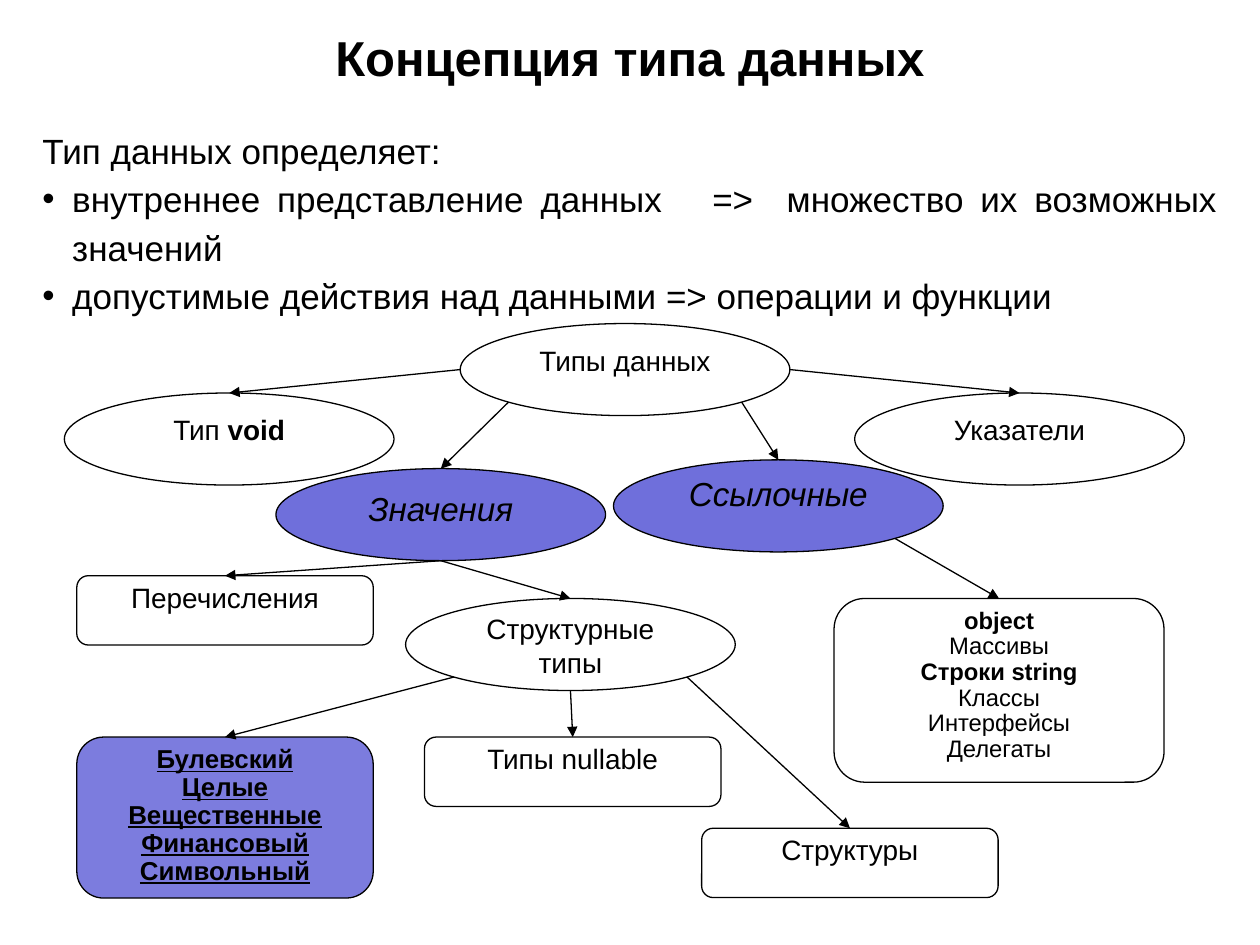
import math
from dataclasses import dataclass

import pptx
import pptx.dml.color
import pptx.enum.shapes
import pptx.enum.text
import pptx.oxml
import pptx.oxml.ns
import pptx.slide
import pptx.util

Pt = pptx.util.Pt
ALIGN = pptx.enum.text.PP_ALIGN
ANCHOR = pptx.enum.text.MSO_ANCHOR
KIND = pptx.enum.shapes.MSO_SHAPE
NS = pptx.oxml.ns.nsdecls("a")
DIAG = math.sqrt(0.5)  # ellipse edge point at 45 degrees


def rgb(value):
    return pptx.dml.color.RGBColor.from_string(value)


def add_xml(parent, xml, index=None):
    el = pptx.oxml.parse_xml(xml)
    parent.insert(len(parent) if index is None else index, el)


def put_text(tf, lines, font="Arial", size=16, color="000000", bold=False,
             italic=False, underline=False, align=ALIGN.CENTER, spacing=None,
             anchor=ANCHOR.TOP, margins=(7.2, 3.6)):
    """Each line is a list of (text, bold) runs or a plain string."""
    tf.word_wrap = True
    tf.vertical_anchor = anchor
    tf.margin_left = tf.margin_right = Pt(margins[0])
    tf.margin_top = tf.margin_bottom = Pt(margins[1])
    for i, line in enumerate(lines):
        p = tf.paragraphs[0] if i == 0 else tf.add_paragraph()
        p.alignment = align
        if spacing:
            p.line_spacing = spacing
        for text, strong in [(line, bold)] if isinstance(line, str) else line:
            r = p.add_run()
            r.text = text
            r.font.name, r.font.size = font, Pt(size)
            r.font.bold, r.font.italic = strong, italic
            r.font.underline = underline
            r.font.color.rgb = rgb(color)


@dataclass
class Diagram:
    s: pptx.slide.Slide
    line: str = "000000"
    weight: float = 0.75
    white: str = "FFFFFF"
    accent: str = "3333CC"

    def text(self, x, y, w, h, lines, **fmt):
        tf = self.s.shapes.add_textbox(Pt(x), Pt(y), Pt(w), Pt(h)).text_frame
        put_text(tf, lines, **fmt)
        return tf

    def bullet(self, p, spacing, indent):
        p.line_spacing = spacing
        pPr = p._p.get_or_add_pPr()
        pPr.set("marL", str(Pt(indent)))
        pPr.set("indent", str(-Pt(indent)))
        add_xml(pPr, f'<a:buFont {NS} typeface="Arial"/>')
        add_xml(pPr, f'<a:buChar {NS} char="•"/>')

    def node(self, kind, x, y, w, h, lines, opacity=None, **fmt):
        """A shape with text; opacity in percent selects the accent fill."""
        sp = self.s.shapes.add_shape(kind, Pt(x), Pt(y), Pt(w), Pt(h))
        sp.shadow.inherit = False
        sp.fill.solid()
        sp.fill.fore_color.rgb = rgb(self.accent if opacity else self.white)
        if opacity:
            clr = sp._element.spPr.find(".//" + pptx.oxml.ns.qn("a:srgbClr"))
            add_xml(clr, f'<a:alpha {NS} val="{opacity * 1000}"/>')
        sp.line.color.rgb = rgb(self.line)
        sp.line.width = Pt(self.weight)
        put_text(sp.text_frame, lines, **fmt)
        return sp

    def ellipse(self, x, y, lines, **fmt):
        return self.node(KIND.OVAL, x, y, 188.4, 52.6, lines, **fmt)

    def box(self, x, y, lines, w=169.4, h=39.6, **fmt):
        return self.node(KIND.ROUNDED_RECTANGLE, x, y, w, h, lines,
                         margins=(1.44, 0.72), **fmt)

    def arrow(self, source, dx, dy, target):
        """From the edge of source, in direction dx, dy, to the top of target."""
        k = DIAG if dx and dy else 1
        x1 = source.left + source.width / 2 * (1 + k * dx)
        y1 = source.top + source.height / 2 * (1 + k * dy)
        x2 = target.left + target.width / 2
        cn = self.s.shapes.add_connector(
            pptx.enum.shapes.MSO_CONNECTOR.STRAIGHT,
            int(x1), int(y1), int(x2), target.top)
        cn.line.color.rgb = rgb(self.line)
        cn.line.width = Pt(self.weight)
        add_xml(cn.line._get_or_add_ln(), f'<a:tailEnd {NS} type="triangle"/>')
        add_xml(cn._element.spPr, f"<a:effectLst {NS}/>")


def main():
    prs = pptx.Presentation()
    prs.slide_width, prs.slide_height = Pt(720), Pt(540)
    d = Diagram(prs.slides.add_slide(prs.slide_layouts[6]))

    # Title and definition
    d.text(36, 10, 648, 45, ["Концепция типа данных"], size=28, bold=True,
           anchor=ANCHOR.MIDDLE)
    tf = d.text(17.2, 73.4, 685.6, 111, [
        "Тип данных определяет:",
        "внутреннее представление данных   =>  множество их возможных значений",
        "допустимые действия над данными => операции и функции",
    ], size=20, align=ALIGN.LEFT, anchor=ANCHOR.BOTTOM)
    for p in tf.paragraphs[1:]:
        p.alignment = ALIGN.JUSTIFY
        d.bullet(p, spacing=1.15, indent=17)

    # Main type groups
    void = d.ellipse(36.8, 224.6, [[("Тип ", False), ("void", True)]])
    pointers = d.ellipse(488.4, 224.6, ["Указатели"])
    types = d.ellipse(263, 184.9, ["Типы данных"])
    references = d.ellipse(350.6, 262.8, ["Ссылочные"], opacity=70, size=19,
                           italic=True, margins=(0, 0))
    values = d.ellipse(157.7, 267.8, ["Значения"], opacity=70, size=19,
                       italic=True)
    structural = d.ellipse(231.8, 342, ["Структурные", "типы"], margins=(0, 0))

    # Concrete types
    enums = d.box(43.9, 329, ["Перечисления"])
    nullable = d.box(242.6, 421.2, ["Типы nullable"])
    structs = d.box(401, 473.3, ["Структуры"])
    simple = d.box(43.9, 421.2, ["Булевский", "Целые", "Вещественные",
                                 "Финансовый", "Символьный"], h=92,
                   opacity=64, size=14.8, bold=True, underline=True,
                   spacing=0.9)
    objects = d.box(476.6, 342, [[("object", True)], "Массивы",
                                 [("Строки string", True)], "Классы",
                                 "Интерфейсы", "Делегаты"], w=188.6, h=105,
                    size=13.6, spacing=0.9)

    # Links
    for source, dx, dy, target in [
        (types, -1, 0, void), (types, 1, 0, pointers),
        (types, -1, 1, values), (types, 1, 1, references),
        (values, 0, 1, enums), (values, 0, 1, structural),
        (references, 1, 1, objects), (structural, -1, 1, simple),
        (structural, 0, 1, nullable), (structural, 1, 1, structs),
    ]:
        d.arrow(source, dx, dy, target)

    prs.save("out.pptx")


if __name__ == "__main__":
    main()
